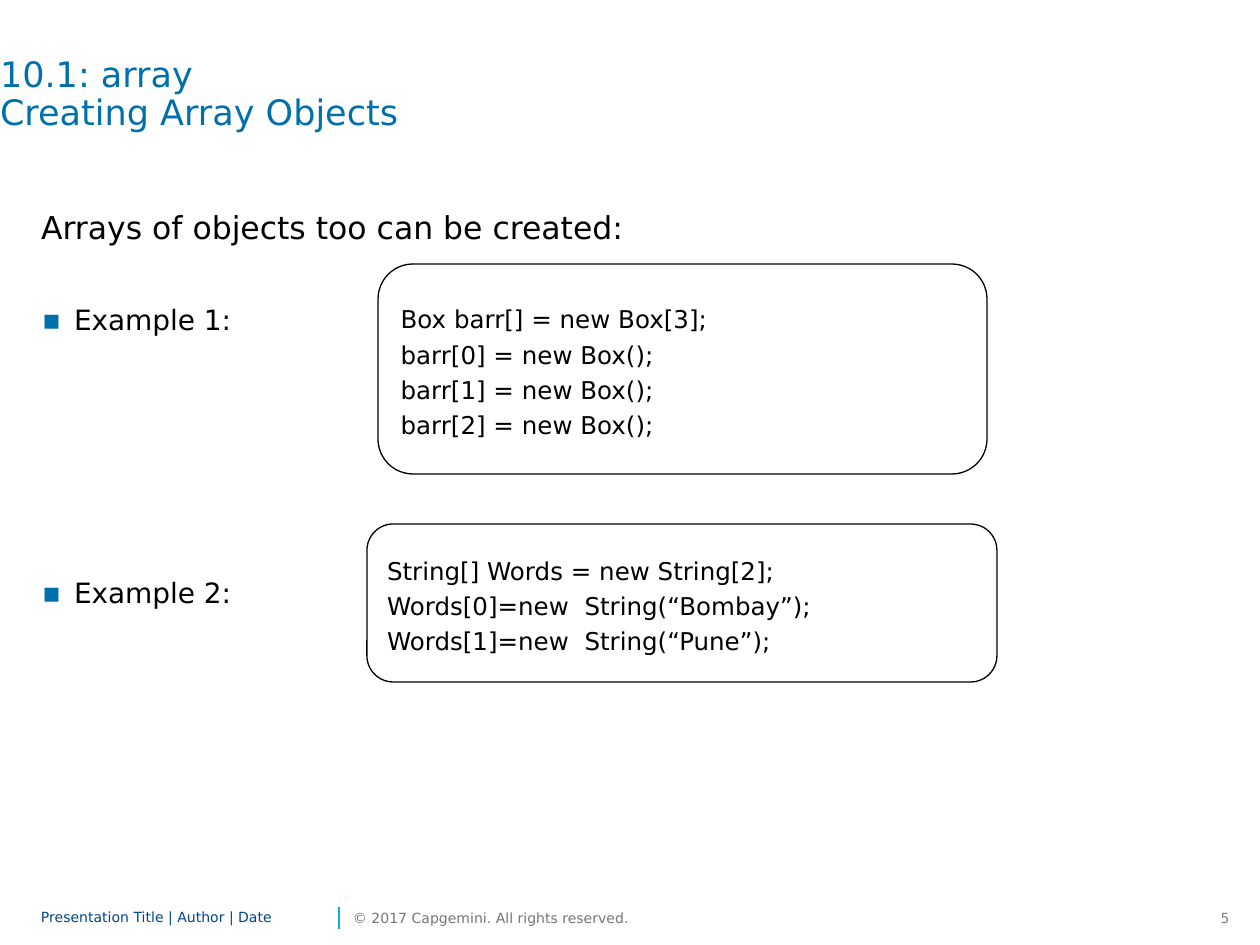
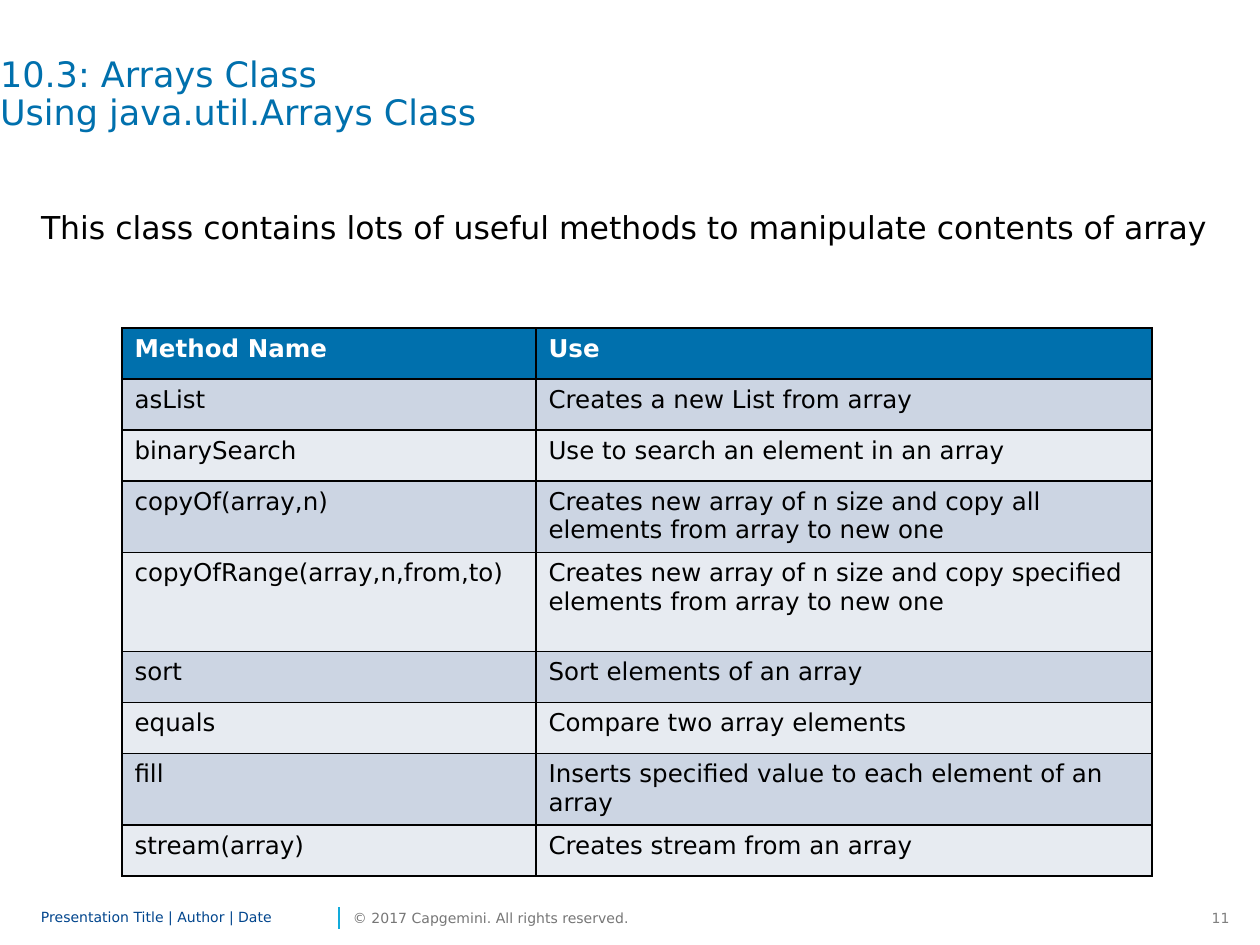
from dataclasses import dataclass

from lxml import etree
from pptx import Presentation
from pptx import util as u
from pptx.dml.color import RGBColor
from pptx.enum import shapes, text
from pptx.oxml import ns

PX = 914400 / 126
FONT = "DejaVu Sans"
BLUE = RGBColor(0x00, 0x70, 0xAD)
NAVY = RGBColor(0x00, 0x45, 0x8D)
CYAN = RGBColor(0x12, 0xAB, 0xDB)
PAGE_GREY = RGBColor(0x80, 0x80, 0x80)
COPYRIGHT_GREY = RGBColor(0x76, 0x76, 0x76)
BLACK = RGBColor(0, 0, 0)
WHITE = RGBColor(255, 255, 255)
BAND_DARK = RGBColor(0xCC, 0xD5, 0xE3)
BAND_LIGHT = RGBColor(0xE7, 0xEB, 0xF1)


@dataclass(frozen=True)
class Box:
    left: int
    top: int
    width: int
    height: int

    def emu(self) -> tuple:
        return tuple(px(n) for n in (self.left, self.top, self.width, self.height))


@dataclass(frozen=True)
class Line:
    words: str
    size: int
    color: RGBColor = BLACK
    spacing: object = None
    before: int = 0
    bullet: bool = False
    align: object = text.PP_ALIGN.LEFT


@dataclass(frozen=True)
class CodeBox:
    box: Box
    code: tuple


@dataclass(frozen=True)
class Method:
    name: str
    use: str
    height: int = 51


TITLE = Box(0, 57, 1176, 118)
BODY = Box(41, 207, 1219, 640)
AUTHOR = Box(41, 903, 292, 30)
COPYRIGHT = Box(353, 903, 300, 30)
PAGE = Box(1193, 903, 49, 30)
TABLE_LEFT, TABLE_TOP, TABLE_COLUMNS = 122, 328, (414, 616)

CODE_BOXES = (
    CodeBox(Box(378, 264, 609, 210), (
        "Box barr[] = new Box[3];",
        "barr[0] = new Box();",
        "barr[1] = new Box();",
        "barr[2] = new Box();",
    )),
    CodeBox(Box(367, 524, 630, 158), (
        "String[] Words = new String[2];",
        "Words[0]=new  String(“Bombay”);",
        "Words[1]=new  String(“Pune”);",
    )),
)

METHODS = (
    Method("Method Name", "Use"),
    Method("asList", "Creates a new List from array"),
    Method("binarySearch", "Use to search an element in an array"),
    Method("copyOf(array,n)",
           "Creates new array of n size and copy all elements from array to new one", 70),
    Method("copyOfRange(array,n,from,to)",
           "Creates new array of n size and copy specified elements from array to new one", 99),
    Method("sort", "Sort elements of an array"),
    Method("equals", "Compare two array elements"),
    Method("fill", "Inserts specified value to each element of an array", 70),
    Method("stream(array)", "Creates stream from an array"),
)


def px(length: int) -> u.Emu:
    return u.Emu(round(length * PX))


def add_run(paragraph, words: str, size: int, color: RGBColor, bold: bool = False) -> None:
    run = paragraph.add_run()
    run.text = words
    run.font.name = FONT
    run.font.size = u.Pt(size)
    run.font.bold = bold
    run.font.color.rgb = color


def add_bullet(paragraph) -> None:
    properties = paragraph._p.get_or_add_pPr()
    properties.set("marL", str(px(33)))
    properties.set("indent", str(px(-32)))
    color = etree.SubElement(properties, ns.qn("a:buClr"))
    etree.SubElement(color, ns.qn("a:srgbClr"), val=str(BLUE))
    etree.SubElement(properties, ns.qn("a:buFont"), typeface=FONT)
    etree.SubElement(properties, ns.qn("a:buChar"), char="▪")


def write_lines(frame, lines: list[Line]) -> None:
    frame.word_wrap = True
    for index, line in enumerate(lines):
        paragraph = frame.add_paragraph() if index else frame.paragraphs[0]
        if line.bullet:
            add_bullet(paragraph)
        paragraph.alignment = line.align
        if line.spacing:
            paragraph.line_spacing = line.spacing
        if line.before:
            paragraph.space_before = u.Pt(line.before)
        for part_index, part in enumerate(line.words.split("\n")):
            if part_index:
                paragraph.add_line_break()
            add_run(paragraph, part, line.size, line.color)


def add_text(slide, box: Box, lines: list[Line], anchor=text.MSO_ANCHOR.TOP,
             inset: bool = False) -> None:
    frame = slide.shapes.add_textbox(*box.emu()).text_frame
    frame.vertical_anchor = anchor
    if not inset:
        frame.margin_left = frame.margin_right = frame.margin_top = frame.margin_bottom = 0
    write_lines(frame, lines)


def add_footer(slide, number: int) -> None:
    add_text(slide, PAGE, [Line(str(number), 8, PAGE_GREY, align=text.PP_ALIGN.RIGHT)], inset=True)
    divider = slide.shapes.add_connector(
        shapes.MSO_CONNECTOR.STRAIGHT, px(339), px(929), px(339), px(907))
    divider.line.color.rgb = CYAN
    divider.line.width = u.Pt(1)
    etree.SubElement(divider._element.spPr, ns.qn("a:effectLst"))
    middle = text.MSO_ANCHOR.MIDDLE
    add_text(slide, AUTHOR, [Line("Presentation Title | Author | Date", 8, NAVY, 0.85)], middle)
    add_text(slide, COPYRIGHT,
             [Line("© 2017 Capgemini. All rights reserved.", 8, COPYRIGHT_GREY)], middle)


def add_lesson_slide(presentation, number: int, title: str, body: list[Line]):
    slide = presentation.slides.add_slide(presentation.slide_layouts[6])
    add_footer(slide, number)
    add_text(slide, TITLE, [Line(title, 20, BLUE, 0.9)])
    add_text(slide, BODY, body)
    return slide


def add_code_box(slide, code_box: CodeBox) -> None:
    shape = slide.shapes.add_shape(
        shapes.MSO_SHAPE.ROUNDED_RECTANGLE, *code_box.box.emu())
    shape.shadow.inherit = False
    shape.fill.background()
    shape.line.color.rgb = BLACK
    shape.line.width = u.Pt(0.75)
    shape.text_frame.vertical_anchor = text.MSO_ANCHOR.MIDDLE
    write_lines(shape.text_frame, [Line(code, 14, spacing=1.2) for code in code_box.code])


def add_borders(cell) -> None:
    properties = cell._tc.get_or_add_tcPr()
    for side in ("lnL", "lnR", "lnT", "lnB"):
        border = etree.SubElement(properties, ns.qn(f"a:{side}"), w=str(u.Pt(1)))
        fill = etree.SubElement(border, ns.qn("a:solidFill"))
        etree.SubElement(fill, ns.qn("a:srgbClr"), val=str(BLACK))


def add_method_table(slide) -> None:
    box = Box(TABLE_LEFT, TABLE_TOP, sum(TABLE_COLUMNS), sum(m.height for m in METHODS))
    table = slide.shapes.add_table(len(METHODS), len(TABLE_COLUMNS), *box.emu()).table
    for column, width in zip(table.columns, TABLE_COLUMNS):
        column.width = px(width)
    for index, method in enumerate(METHODS):
        table.rows[index].height = px(method.height)
        header = index == 0
        band = BLUE if header else BAND_DARK if index % 2 else BAND_LIGHT
        for cell, words in zip(table.rows[index].cells, (method.name, method.use)):
            add_borders(cell)
            cell.fill.solid()
            cell.fill.fore_color.rgb = band
            add_run(cell.text_frame.paragraphs[0], words, 14, WHITE if header else BLACK, header)


def main() -> None:
    presentation = Presentation()
    presentation.slide_width, presentation.slide_height = px(1260), px(945)

    objects_slide = add_lesson_slide(presentation, 5, "10.1: array\nCreating Array Objects", [
        Line("Arrays of objects too can be created:", 18, spacing=u.Pt(22)),
        Line("Example 1:", 16, spacing=u.Pt(20), before=32, bullet=True),
        Line("Example 2:", 16, spacing=u.Pt(20), before=136, bullet=True),
    ])
    for code_box in CODE_BOXES:
        add_code_box(objects_slide, code_box)

    class_slide = add_lesson_slide(
        presentation, 11, "10.3: Arrays Class\nUsing java.util.Arrays Class", [
            Line("This class contains lots of useful methods to manipulate contents of array",
                 18, spacing=u.Pt(22)),
        ])
    add_method_table(class_slide)

    presentation.save("out.pptx")


if __name__ == "__main__":
    main()
